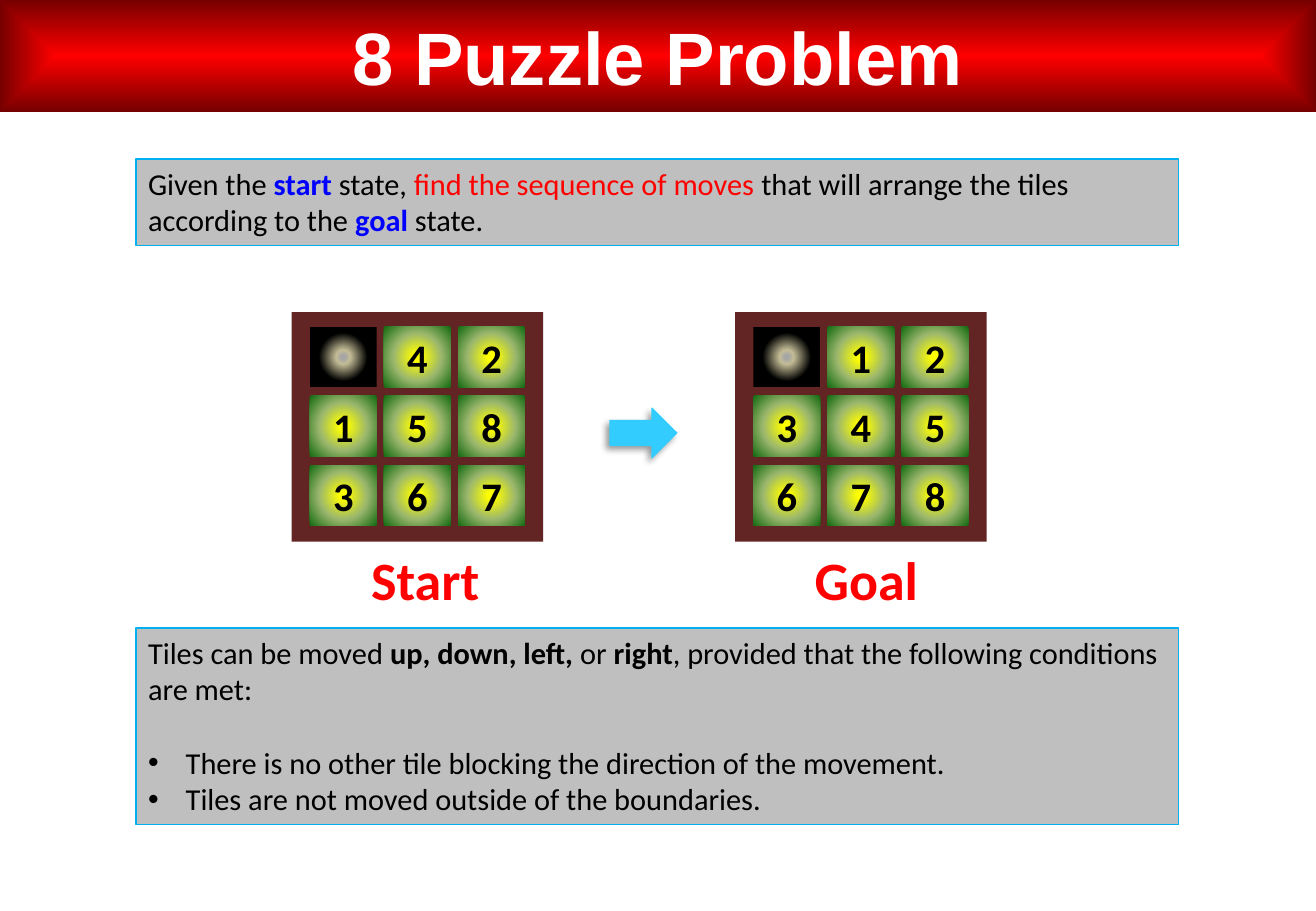
import pptx
import pptx.util
import pptx.oxml
import pptx.oxml.ns
import pptx.dml.color
import pptx.enum.shapes
import pptx.enum.text
from dataclasses import dataclass
from lxml import etree

Inches, Pt = pptx.util.Inches, pptx.util.Pt
RGB = pptx.dml.color.RGBColor.from_string
SHAPE = pptx.enum.shapes.MSO_SHAPE
ANCHOR = pptx.enum.text.MSO_ANCHOR
ALIGN = pptx.enum.text.PP_ALIGN


@dataclass(frozen=True)
class Theme:
    heading_font: str = "Arial"
    body_font: str = "Calibri"
    title_size: int = 44
    label_size: int = 32
    tile_size: int = 24
    body_size: int = 18
    white: str = "FFFFFF"
    ink: str = "000000"
    red: str = "FF0000"
    blue: str = "0000FF"
    panel: str = "BFBFBF"
    panel_edge: str = "00B0F0"
    board: str = "632523"
    arrow: str = "33CCFF"
    banner: tuple = ((0, "FF0000"), (100, "760000"))
    tile: tuple = ((8, "FFFF00"), (53, "9CB86E"), (100, "156B13"))
    gap: tuple = ((4, "A6A6A6"), (16, "C4BD97"), (54, "000000"))


theme = Theme()

TITLE = "8 Puzzle Problem"
TASK = [
    ("Given the ", theme.ink, False),
    ("start", theme.blue, True),
    (" state, ", theme.ink, False),
    ("find the sequence of moves ", theme.red, False),
    ("that will arrange the tiles according to the ", theme.ink, False),
    ("goal", theme.blue, True),
    (" state.", theme.ink, False),
]
RULES = [
    ("Tiles can be moved ", theme.ink, False),
    ("up, down, left, ", theme.ink, True),
    ("or", theme.ink, False),
    (" right", theme.ink, True),
    (", provided that the following conditions are met:", theme.ink, False),
]
CONDITIONS = [
    "There is no other tile blocking the direction of the movement.",
    "Tiles are not moved outside of the boundaries.",
]
BOARDS = [
    ("Start", 2.4, 1.1, [[None, 4, 2], [1, 5, 8], [3, 6, 7]]),
    ("Goal", 6.05, 1.06, [[None, 1, 2], [3, 4, 5], [6, 7, 8]]),
]

SLIDE_W, SLIDE_H = 10.83, 7.5
PANEL_X, PANEL_W = 1.12, 8.58
BOARD_Y, BOARD_W, BOARD_H = 2.57, 2.07, 1.89
TILE_W, TILE_H = 0.55, 0.5
MARGIN_X, MARGIN_Y = 0.15, 0.12
PITCH_X, PITCH_Y = 0.61, 0.57
LABEL_Y, LABEL_H, LABEL_INDENT = 4.45, 0.64, 0.55
HANGING = Inches(0.31)

deck = pptx.Presentation()
deck.slide_width, deck.slide_height = Inches(SLIDE_W), Inches(SLIDE_H)
slide = deck.slides.add_slide(deck.slide_layouts[6])


def gradient(shape, stops, shading):
    listed = "".join(
        f'<a:gs pos="{position * 1000}"><a:srgbClr val="{color}"/></a:gs>'
        for position, color in stops)
    shape._element.spPr.insert(2, pptx.oxml.parse_xml(
        f'<a:gradFill {pptx.oxml.ns.nsdecls("a")} rotWithShape="1">'
        f'<a:gsLst>{listed}</a:gsLst><a:path path="{shading}">'
        '<a:fillToRect l="50000" t="50000" r="50000" b="50000"/>'
        '</a:path></a:gradFill>'))


def block(x, y, w, h, fill, edge=None, kind=SHAPE.RECTANGLE, shading="circle"):
    shape = slide.shapes.add_shape(kind, Inches(x), Inches(y), Inches(w), Inches(h))
    shape.shadow.inherit = False
    if isinstance(fill, tuple):
        gradient(shape, fill, shading)
    else:
        shape.fill.solid()
        shape.fill.fore_color.rgb = RGB(fill)
    if edge:
        shape.line.color.rgb = RGB(edge)
        shape.line.width = Pt(0.75)
    else:
        shape.line.fill.background()
    return shape


def write(paragraph, runs, size, font=theme.body_font, align=ALIGN.LEFT):
    paragraph.alignment = align
    for text, color, bold in runs:
        run = paragraph.add_run()
        run.text = text
        run.font.name, run.font.size, run.font.bold = font, Pt(size), bold
        run.font.color.rgb = RGB(color)


def centred(shape, text, color, size, font=theme.body_font):
    shape.text_frame.vertical_anchor = ANCHOR.MIDDLE
    write(shape.text_frame.paragraphs[0], [(text, color, True)], size, font, ALIGN.CENTER)


def panel(y, h, runs):
    frame = block(PANEL_X, y, PANEL_W, h, theme.panel, theme.panel_edge).text_frame
    frame.word_wrap = True
    frame.vertical_anchor = ANCHOR.TOP
    write(frame.paragraphs[0], runs, theme.body_size)
    return frame


def bullet(paragraph):
    properties = paragraph._p.get_or_add_pPr()
    properties.set("marL", str(HANGING))
    properties.set("indent", str(-HANGING))
    for tag, name, value in (("a:buFont", "typeface", "Arial"), ("a:buChar", "char", "•")):
        etree.SubElement(properties, pptx.oxml.ns.qn(tag)).set(name, value)


def puzzle(name, x, label_w, rows):
    block(x, BOARD_Y, BOARD_W, BOARD_H, theme.board)
    for r, row in enumerate(rows):
        for c, number in enumerate(row):
            place = (x + MARGIN_X + c * PITCH_X, BOARD_Y + MARGIN_Y + r * PITCH_Y, TILE_W, TILE_H)
            if number is None:
                block(*place, theme.gap)
            else:
                centred(block(*place, theme.tile), str(number), theme.ink, theme.tile_size)
    label = slide.shapes.add_textbox(
        Inches(x + LABEL_INDENT), Inches(LABEL_Y), Inches(label_w), Inches(LABEL_H))
    label.text_frame.word_wrap = False
    centred(label, name, theme.red, theme.label_size)


banner = block(0, 0, SLIDE_W, 0.92, theme.banner, shading="shape")
centred(banner, TITLE, theme.white, theme.title_size, theme.heading_font)

panel(1.31, 0.71, TASK)

for board in BOARDS:
    puzzle(*board)

arrow = block(5.02, 3.36, 0.55, 0.41, theme.arrow, theme.arrow, SHAPE.RIGHT_ARROW)
effects = arrow._element.spPr.find(pptx.oxml.ns.qn("a:effectLst"))
effects.append(pptx.oxml.parse_xml(
    f'<a:outerShdw {pptx.oxml.ns.nsdecls("a")} blurRad="{Pt(4)}" dist="{Pt(3)}" '
    f'dir="{135 * 60000}" algn="tr" rotWithShape="0"><a:srgbClr val="{theme.ink}">'
    '<a:alpha val="40000"/></a:srgbClr></a:outerShdw>'))

rules = panel(5.17, 1.62, RULES)
for index, condition in enumerate(CONDITIONS):
    item = rules.add_paragraph()
    if index == 0:
        item.space_before = Pt(22)
    bullet(item)
    write(item, [(condition, theme.ink, False)], theme.body_size)

deck.save("out.pptx")
